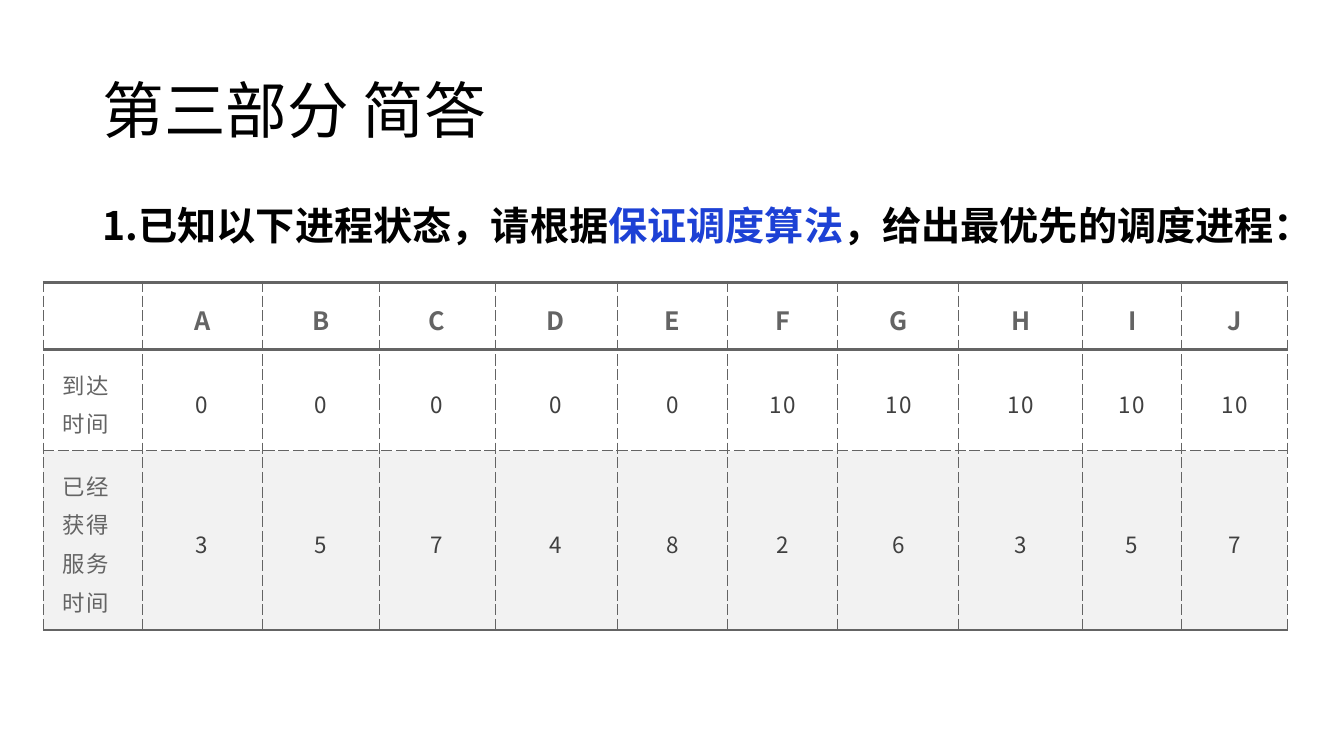
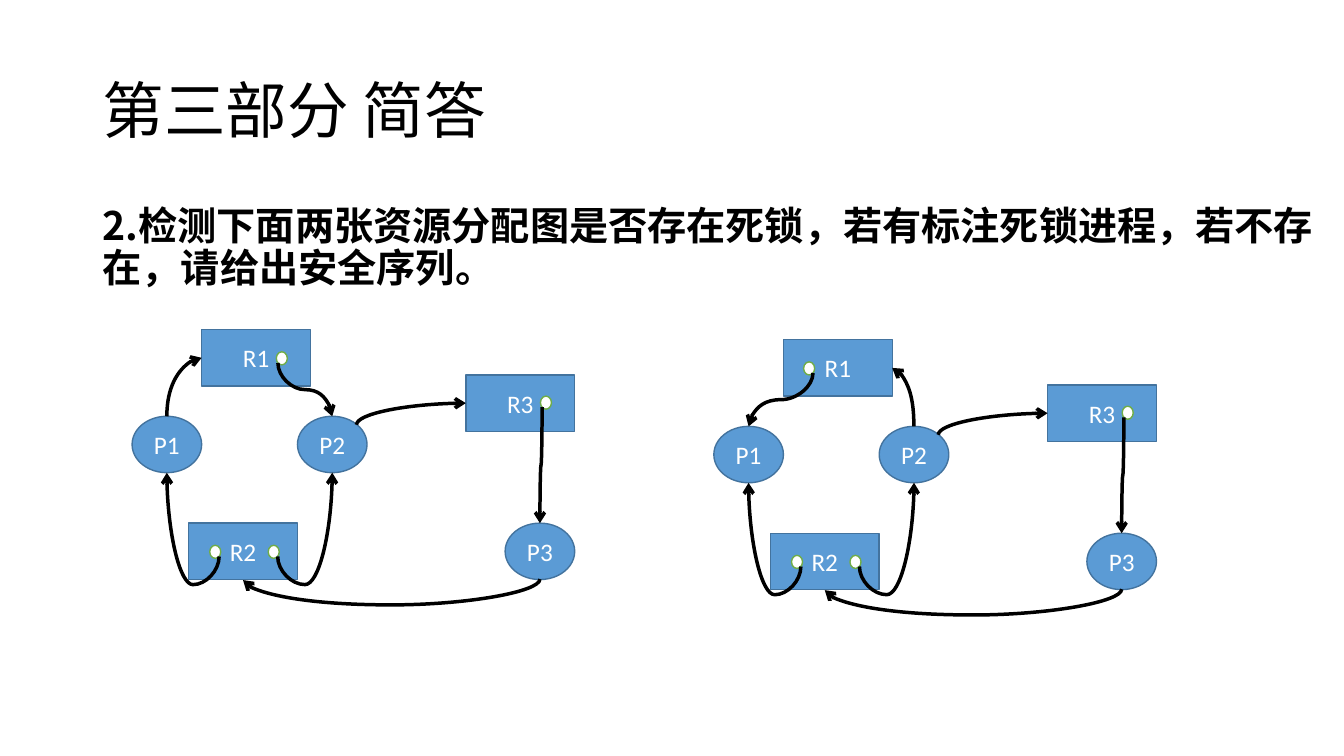
from lxml import etree
from pptx import Presentation
from pptx.dml.color import RGBColor
from pptx.enum.shapes import MSO_CONNECTOR as Connector, MSO_SHAPE as Shape
from pptx.enum.text import MSO_ANCHOR as Anchor, PP_ALIGN as Align
from pptx.oxml.ns import qn
from pptx.util import Inches, Pt

BLACK = RGBColor(0x00, 0x00, 0x00)
WHITE = RGBColor(0xFF, 0xFF, 0xFF)
HIGHLIGHT = RGBColor(0x1D, 0x41, 0xD5)
GRAY = RGBColor(0x64, 0x64, 0x64)
DARK_GRAY = RGBColor(0x40, 0x40, 0x40)
LIGHT_GRAY = RGBColor(0xF2, 0xF2, 0xF2)
NODE_FILL = RGBColor(0x5B, 0x9B, 0xD5)
NODE_LINE = RGBColor(0x43, 0x73, 0x9E)
DOT_LINE = RGBColor(0x70, 0xAD, 0x47)
LATIN, CJK = "Calibri", "Noto Sans CJK SC"

TITLE = "第三部分 简答"
TITLE_STYLE = dict(size=Pt(44), name=LATIN)
QUESTION_STYLE = dict(size=Pt(28), name=CJK, bold=True)
LABEL_STYLE = dict(size=Pt(18), name=LATIN)
HEADER_STYLE = dict(size=Pt(18), name=CJK, bold=True)
CELL_STYLE = dict(size=Pt(16), name=CJK, bold=False)

# Questions: runs of (text, colour)
SCHEDULING_QUESTION = [("1.已知以下进程状态，请根据", BLACK), ("保证调度算法", HIGHLIGHT),
                       ("，给出最优先的调度进程：", BLACK)]
DEADLOCK_QUESTION = [("2.检测下面两张资源分配图是否存在死锁，若有标注死锁进程，"
                      "若不存在，请给出安全序列。", BLACK)]

# Process table: one list per row, paragraphs split by a line break
PROCESS_ROWS = [
    ["", *"ABCDEFGHIJ"],
    ["到达时间", *["0"] * 5, *["10"] * 5],
    ["已经获得\n服务时间", *"3574826357"],
]
COLUMN_WIDTHS = [0.98, 1.19, 1.16, 1.15, 1.21, 1.1, 1.09, 1.2, 1.23, 0.98, 1.05]
ROW_HEIGHTS = [0.67, 1, 1.78]
ROW_FILLS = [WHITE, WHITE, LIGHT_GRAY]
THICK, DASHED = (2.25, "solid"), (0.75, "sysDash")
ROW_LINES = [THICK, THICK, DASHED, THICK]

# Allocation graphs: offsets from the graph's own corner
PROCESS_SIZE, RESOURCE_SIZE, DOT_SIZE = (0.69, 0.56), (1.08, 0.56), (0.11, 0.13)
PROCESSES = {"P1": (0, 0.86), "P2": (1.64, 0.86), "P3": (3.7, 1.92)}
RESOURCES = {"R1": (0.69, 0), "R2": (0.56, 1.92), "R3": (3.31, 0.45)}
DOTS = {"R2 left": (0.77, 2.14), "R2 right": (1.35, 2.14), "R3 dot": (4.05, 0.66)}

# Connection sites as shares of width and height, counter-clockwise from the top
RECT_SITES = [(0.5, 0), (0, 0.5), (0.5, 1), (1, 0.5)]
ELLIPSE_SITES = [(0.5, 0), (0.15, 0.15), (0, 0.5), (0.15, 0.85),
                 (0.5, 1), (0.85, 0.85), (1, 0.5), (0.85, 0.15)]

# Edges: start, site, end, site, bend
# The bend is a depth below the start, HALF way, or a QUARTER turn
HALF, QUARTER = "half", "quarter"
SHARED_EDGES = [
    ("R2 left", 5, "P1", 4, 0.28),
    ("R2 right", 5, "P2", 4, 0.28),
    ("P2", 7, "R3", 1, QUARTER),
    ("R3 dot", 3, "P3", 0, HALF),
    ("P3", 4, "R2", 2, 0.26),
]
GRAPHS = [
    dict(corner=(1.31, 3.27), r1_dot=(1.43, 0.22),
         edges=[("P1", 0, "R1", 1, QUARTER), ("R1 dot", 3, "P2", 0, HALF)]),
    dict(corner=(7.08, 3.37), r1_dot=(0.89, 0.22),
         edges=[("R1 dot", 5, "P1", 0, HALF), ("P2", 0, "R1", 3, QUARTER)]),
]


def add_run(paragraph, text, style, color, spacing=None):
    run = paragraph.add_run()
    run.text = text
    for attribute, value in style.items():
        setattr(run.font, attribute, value)
    run.font.color.rgb = color
    properties = run.font._element
    etree.SubElement(properties, qn("a:ea"), typeface=CJK)
    if spacing:
        properties.set("spc", str(spacing))


def add_text_box(slide, box, runs, style, anchor, space_before=0):
    frame = slide.shapes.add_textbox(*map(Inches, box)).text_frame
    frame.word_wrap = True
    frame.vertical_anchor = anchor
    paragraph = frame.paragraphs[0]
    paragraph.line_spacing = 0.9
    paragraph.space_before = Pt(space_before)
    for text, color in runs:
        add_run(paragraph, text, style, color)


def add_question_slide(presentation, question):
    slide = presentation.slides.add_slide(presentation.slide_layouts[6])
    add_text_box(slide, (0.92, 0.4, 11.5, 1.45), [(TITLE, BLACK)], TITLE_STYLE, Anchor.MIDDLE)
    add_text_box(slide, (0.92, 2, 12.27, 1.28), question, QUESTION_STYLE, Anchor.TOP, 10)
    return slide


# Table
def set_border(cell, side, width, dash):
    line = etree.SubElement(cell._tc.get_or_add_tcPr(), qn(f"a:ln{side}"), w=str(Pt(width)))
    fill = etree.SubElement(line, qn("a:solidFill"))
    etree.SubElement(fill, qn("a:srgbClr"), val=str(GRAY))
    etree.SubElement(line, qn("a:prstDash"), val=dash)


def fill_cell(cell, text, row, column):
    is_header, is_label = row == 0, column == 0
    borders = dict(L=DASHED, R=DASHED, T=ROW_LINES[row], B=ROW_LINES[row + 1])
    for side, border in borders.items():
        set_border(cell, side, *border)
    cell.fill.solid()
    cell.fill.fore_color.rgb = ROW_FILLS[row]
    cell.vertical_anchor = Anchor.MIDDLE
    cell.margin_left = cell.margin_right = Inches(0.19)
    cell.margin_top = cell.margin_bottom = Inches(0.12)
    if not text:
        return
    frame = cell.text_frame
    for index, line in enumerate(text.split("\n")):
        paragraph = frame.add_paragraph() if index else frame.paragraphs[0]
        paragraph.alignment = Align.LEFT if is_label else Align.CENTER
        paragraph.line_spacing = 1.2
        add_run(paragraph, line, HEADER_STYLE if is_header else CELL_STYLE,
                GRAY if is_header or is_label else DARK_GRAY, 130 if is_header else 120)


def add_process_table(slide):
    box = (0.43, 2.8, sum(COLUMN_WIDTHS), sum(ROW_HEIGHTS))
    table = slide.shapes.add_table(len(ROW_HEIGHTS), len(COLUMN_WIDTHS),
                                   *map(Inches, box)).table
    table.first_row = table.horz_banding = False
    for column, width in zip(table.columns, COLUMN_WIDTHS):
        column.width = Inches(width)
    for row, height in zip(table.rows, ROW_HEIGHTS):
        row.height = Inches(height)
    for row, texts in enumerate(PROCESS_ROWS):
        for column, text in enumerate(texts):
            fill_cell(table.cell(row, column), text, row, column)


# Allocation graphs
def add_node(group, kind, position, size, fill, line, label=""):
    shape = group.shapes.add_shape(kind, *map(Inches, (*position, *size)))
    shape.shadow.inherit = False
    shape.fill.solid()
    shape.fill.fore_color.rgb = fill
    shape.line.color.rgb = line
    shape.line.width = Pt(1)
    if label:
        frame = shape.text_frame
        frame.margin_left = frame.margin_right = 0
        frame.vertical_anchor = Anchor.MIDDLE
        frame.paragraphs[0].alignment = Align.CENTER
        add_run(frame.paragraphs[0], label, LABEL_STYLE, WHITE)
    return shape


def site_point(shape, site):
    sites = RECT_SITES if shape.auto_shape_type == Shape.RECTANGLE else ELLIPSE_SITES
    across, down = sites[site]
    return int(shape.left + across * shape.width), int(shape.top + down * shape.height)


def add_edge(group, start, start_site, end, end_site, bend):
    (x1, y1), (x2, y2) = site_point(start, start_site), site_point(end, end_site)
    connector = group.shapes.add_connector(Connector.CURVE, x1, y1, x2, y2)
    connector.begin_connect(start, 0)
    connector.end_connect(end, 0)
    joints = connector._element.nvCxnSpPr.cNvCxnSpPr
    joints.stCxn.set("idx", str(start_site))
    joints.endCxn.set("idx", str(end_site))

    # Every edge leaves vertically: a quarter-turned frame, flipped to suit
    rise, run = max(abs(y2 - y1), Inches(0.01)), abs(x2 - x1)
    connector.width, connector.height = rise, run
    connector.left = (x1 + x2 - rise) // 2
    connector.top = (y1 + y2 - run) // 2
    properties = connector._element.spPr
    frame = properties.find(qn("a:xfrm"))
    frame.set("rot", str(90 * 60000))
    frame.set("flipH", str(int(y2 < y1)))
    frame.set("flipV", str(int(x2 > x1)))

    geometry = properties.find(qn("a:prstGeom"))
    if bend == QUARTER:
        geometry.set("prst", "curvedConnector2")
    else:
        share = 0.5 if bend == HALF else Inches(bend) / (-rise if y2 < y1 else rise)
        guides = geometry.find(qn("a:avLst"))
        etree.SubElement(guides, qn("a:gd"), name="adj1", fmla=f"val {round(share * 100000)}")

    connector.line.color.rgb = BLACK
    connector.line.width = Pt(2.5)
    etree.SubElement(properties.find(qn("a:ln")), qn("a:tailEnd"), type="arrow")
    etree.SubElement(properties, qn("a:effectLst"))


def add_graph(slide, corner, r1_dot, edges):
    group = slide.shapes.add_group_shape()
    nodes = {}
    dots = {**DOTS, "R1 dot": r1_dot}
    layers = [
        (PROCESSES, Shape.OVAL, PROCESS_SIZE, NODE_FILL, NODE_LINE, True),
        (RESOURCES, Shape.RECTANGLE, RESOURCE_SIZE, NODE_FILL, NODE_LINE, True),
        (dots, Shape.OVAL, DOT_SIZE, WHITE, DOT_LINE, False),
    ]
    for places, kind, size, fill, line, labelled in layers:
        for name, (dx, dy) in places.items():
            position = (corner[0] + dx, corner[1] + dy)
            nodes[name] = add_node(group, kind, position, size, fill, line,
                                   name if labelled else "")
    for start, start_site, end, end_site, bend in SHARED_EDGES + edges:
        add_edge(group, nodes[start], start_site, nodes[end], end_site, bend)


def main():
    presentation = Presentation()
    presentation.slide_width, presentation.slide_height = Inches(13.33), Inches(7.5)
    add_process_table(add_question_slide(presentation, SCHEDULING_QUESTION))
    deadlock_slide = add_question_slide(presentation, DEADLOCK_QUESTION)
    for graph in GRAPHS:
        add_graph(deadlock_slide, **graph)
    presentation.save("out.pptx")


if __name__ == "__main__":
    main()
